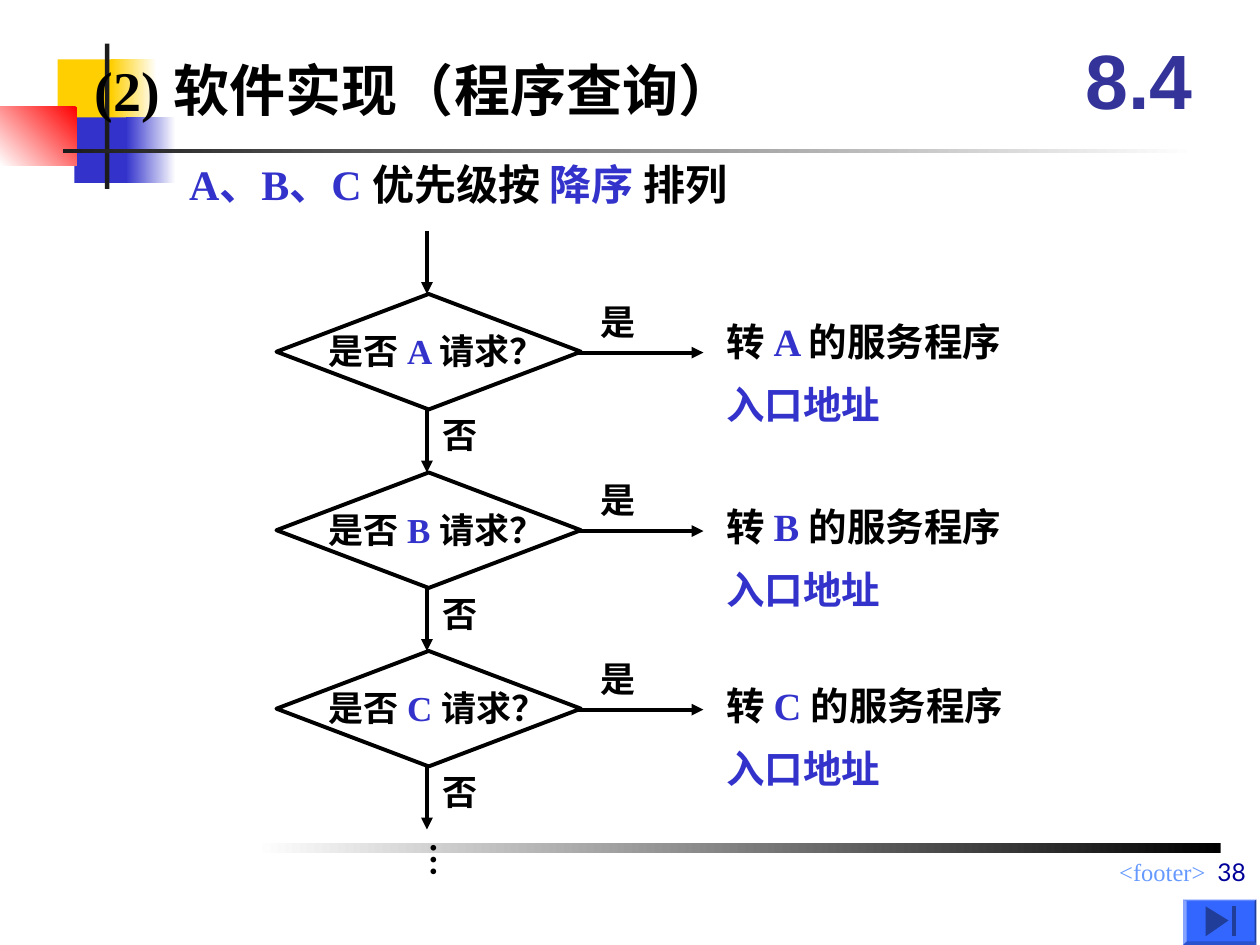
from pptx import Presentation
from pptx.dml.color import RGBColor
from pptx.enum.shapes import MSO_CONNECTOR, MSO_SHAPE
from pptx.enum.text import MSO_ANCHOR, MSO_AUTO_SIZE, PP_ALIGN
from pptx.oxml.ns import qn
from pptx.util import Pt
from lxml.etree import SubElement

BLACK, BLUE, WHITE = "000000", "3333CC", "FFFFFF"
SERIF = "Times New Roman"
MIDDLE_X = 244
ROW_TOP, ROW_PITCH = 168, 102
DIAMOND_HEIGHT = 66


def color(value):
    return RGBColor.from_string(value)


def add_bar(page, bounds, start, end=None, angle=180):
    """Borderless rectangle, solid or fading from start to end."""
    bar = page.shapes.add_shape(MSO_SHAPE.RECTANGLE, *map(Pt, bounds))
    bar.shadow.inherit = False
    bar.line.fill.background()
    if end is None:
        bar.fill.solid()
        bar.fill.fore_color.rgb = color(start)
        return
    bar.fill.gradient()
    bar.fill.gradient_angle = angle
    for stop, value, position in zip(bar.fill.gradient_stops, (start, end), (0, 1)):
        stop.color.rgb = color(value)
        stop.position = position


def add_text(page, bounds, lines, size, font=SERIF, bold=True, align=None,
             anchor=MSO_ANCHOR.TOP, insets=(7.2, 3.6, 7.2, 3.6), wrap=True,
             grow=False, before=None, spacing=None):
    """Text box; each line is a list of (text, colour) spans."""
    box = page.shapes.add_textbox(*map(Pt, bounds))
    frame = box.text_frame
    frame.word_wrap = wrap
    frame.vertical_anchor = anchor
    frame.auto_size = MSO_AUTO_SIZE.SHAPE_TO_FIT_TEXT if grow else MSO_AUTO_SIZE.NONE
    (frame.margin_left, frame.margin_top,
     frame.margin_right, frame.margin_bottom) = map(Pt, insets)
    for index, spans in enumerate(lines):
        para = frame.add_paragraph() if index else frame.paragraphs[0]
        para.font.size, para.font.name, para.font.bold = Pt(size), font, bold
        para.alignment = align
        if before is not None:
            para.space_before = Pt(before)
        if spacing is not None:
            para.line_spacing = spacing
        for text, value in spans:
            span = para.add_run()
            span.text = text
            span.font.color.rgb = color(value)
    return box


def add_arrow(page, x1, y1, x2, y2):
    arrow = page.shapes.add_connector(MSO_CONNECTOR.STRAIGHT, *map(Pt, (x1, y1, x2, y2)))
    arrow.line.color.rgb = color(BLACK)
    arrow.line.width = Pt(2.25)
    SubElement(arrow.line._get_or_add_ln(), qn("a:tailEnd"), type="triangle")
    SubElement(arrow._element.spPr, qn("a:effectLst"))


def add_polygon(page, points, fill):
    builder = page.shapes.build_freeform(*points[0], scale=Pt(1))
    builder.add_line_segments(points[1:], close=True)
    polygon = builder.convert_to_shape()
    polygon.shadow.inherit = False
    polygon.fill.solid()
    polygon.fill.fore_color.rgb = color(fill)
    polygon.line.fill.background()


def add_label(page, left, top, text):
    add_text(page, (left, top, 48, 31.5), [[(text, BLACK)]], 20, grow=True, before=12.5)


def add_query(page, row, name, service_top):
    """One decision with its yes branch, no branch and service text."""
    top = ROW_TOP + row * ROW_PITCH
    diamond = page.shapes.add_shape(
        MSO_SHAPE.DIAMOND, *map(Pt, (158, top, 174, DIAMOND_HEIGHT)))
    diamond.shadow.inherit = False
    diamond.fill.background()
    diamond.line.color.rgb = color(BLACK)
    diamond.line.width = Pt(2.25)
    add_text(page, (188, top + 20.5, 149 + 6 * row, 28),
             [[("是否 ", BLACK), (f"{name} ", BLUE), ("请求？", BLACK)]],
             20, insets=(0, 0, 7.2, 3.6), grow=True, before=12.5)
    add_text(page, (408, service_top, 276, 66),
             [[("转 ", BLACK), (f"{name} ", BLUE), ("的服务程序", BLACK)],
              [("入口地址", BLUE)]],
             22, grow=True, before=13.8, spacing=0.85)
    add_arrow(page, 330, top + 33.5, 402, top + 33.5)
    add_label(page, 336, top, "是")
    add_arrow(page, MIDDLE_X, top + DIAMOND_HEIGHT, MIDDLE_X, top + ROW_PITCH)
    add_label(page, 246, top + 65, "否")


def add_end_button(page):
    """Bevelled button with an end-of-show symbol."""
    left, top, right, bottom, edge = 676, 513.5, 718.5, 539.5, 1.6
    outer = [(left, top), (right, top), (right, bottom), (left, bottom)]
    inner = [(left + edge, top + edge), (right - edge, top + edge),
             (right - edge, bottom - edge), (left + edge, bottom - edge)]
    add_polygon(page, outer, "3366FF")
    for side, shade in enumerate(("5C85FF", "1F3D99", "2952CC", "85A3FF")):
        after = (side + 1) % 4
        add_polygon(page, [outer[side], outer[after], inner[after], inner[side]], shade)
    add_polygon(page, [(702, 526.5), (689, 535), (689, 518)], "1F3D99")
    add_polygon(page, [(704, 518), (704, 535), (706.5, 535), (706.5, 518)], "1F3D99")


def add_decoration(page):
    add_bar(page, (33, 34, 34.5, 37.5), "FFCF01")
    add_bar(page, (63.5, 34, 26, 37.5), WHITE, "FFCF01")
    add_bar(page, (42.5, 67, 33, 37.5), BLUE)
    add_bar(page, (72, 67, 28.5, 37.5), WHITE, BLUE)
    add_bar(page, (0, 61, 44, 33.5), "FF0000", WHITE, angle=225)
    add_bar(page, (60, 25, 2.5, 83), "1C1C1C")
    add_bar(page, (36, 85, 648, 2.5), WHITE, "1C1C1C")
    add_bar(page, (145.5, 481.5, 552, 6), BLACK, WHITE)


def main():
    deck = Presentation()
    deck.slide_width, deck.slide_height = Pt(720), Pt(540)
    page = deck.slides.add_slide(deck.slide_layouts[6])

    # Background decoration and footer
    add_decoration(page)
    add_text(page, (282, 486, 414, 19), [[("<footer>", "6699FF")]], 14,
             bold=False, align=PP_ALIGN.RIGHT)

    # Headings
    heading = dict(anchor=MSO_ANCHOR.MIDDLE, insets=(0, 3.6, 0, 3.6), wrap=False)
    add_text(page, (108, 84, 414, 42),
             [[("A、B、C ", BLUE), ("优先级按 ", BLACK), ("降序 ", BLUE), ("排列", BLACK)]],
             24, **heading)
    add_text(page, (54, 30, 414, 42), [[("(2) 软件实现（程序查询）", BLACK)]], 32, **heading)
    add_text(page, (606, 12, 90, 66), [[("8.4", "333399")]], 44, font="Arial",
             align=PP_ALIGN.CENTER, anchor=MSO_ANCHOR.MIDDLE)

    # Flowchart
    add_arrow(page, MIDDLE_X, 132, MIDDLE_X, ROW_TOP)
    for row, (name, service_top) in enumerate(zip("ABC", (182, 288, 390))):
        add_query(page, row, name, service_top)
    dots = add_text(page, (232, 474, 38, 27.5), [[("…", BLACK)]], 20,
                    insets=(3.6, 7.2, 3.6, 7.2), wrap=False, grow=True)
    dots.text_frame._txBody.bodyPr.set("vert", "eaVert")

    # Button and page number
    add_end_button(page)
    add_text(page, (375, 474, 344, 36), [[("38", "000099")]], 14, font="Lato",
             bold=False, align=PP_ALIGN.RIGHT, anchor=MSO_ANCHOR.BOTTOM)

    deck.save("out.pptx")


if __name__ == "__main__":
    main()
